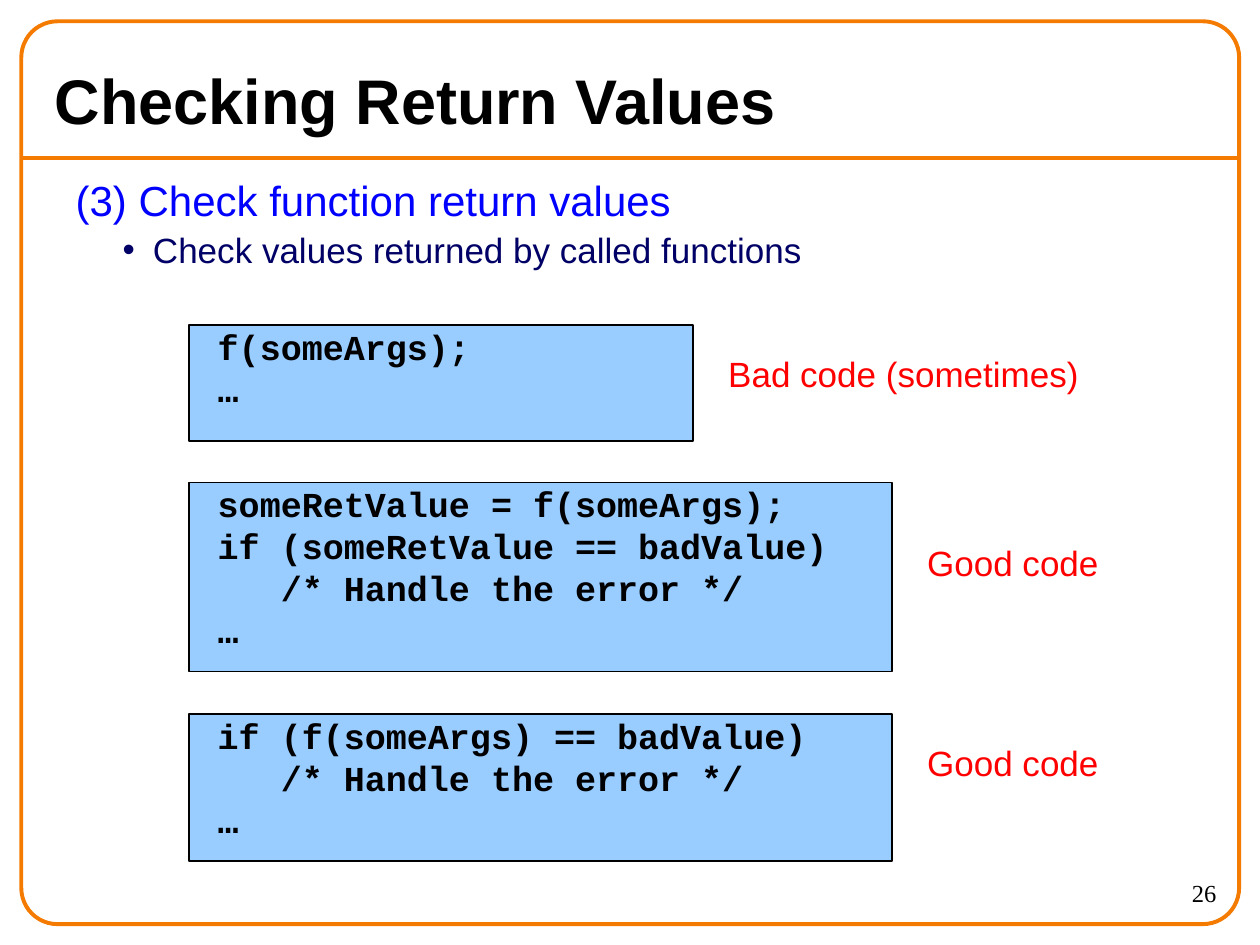
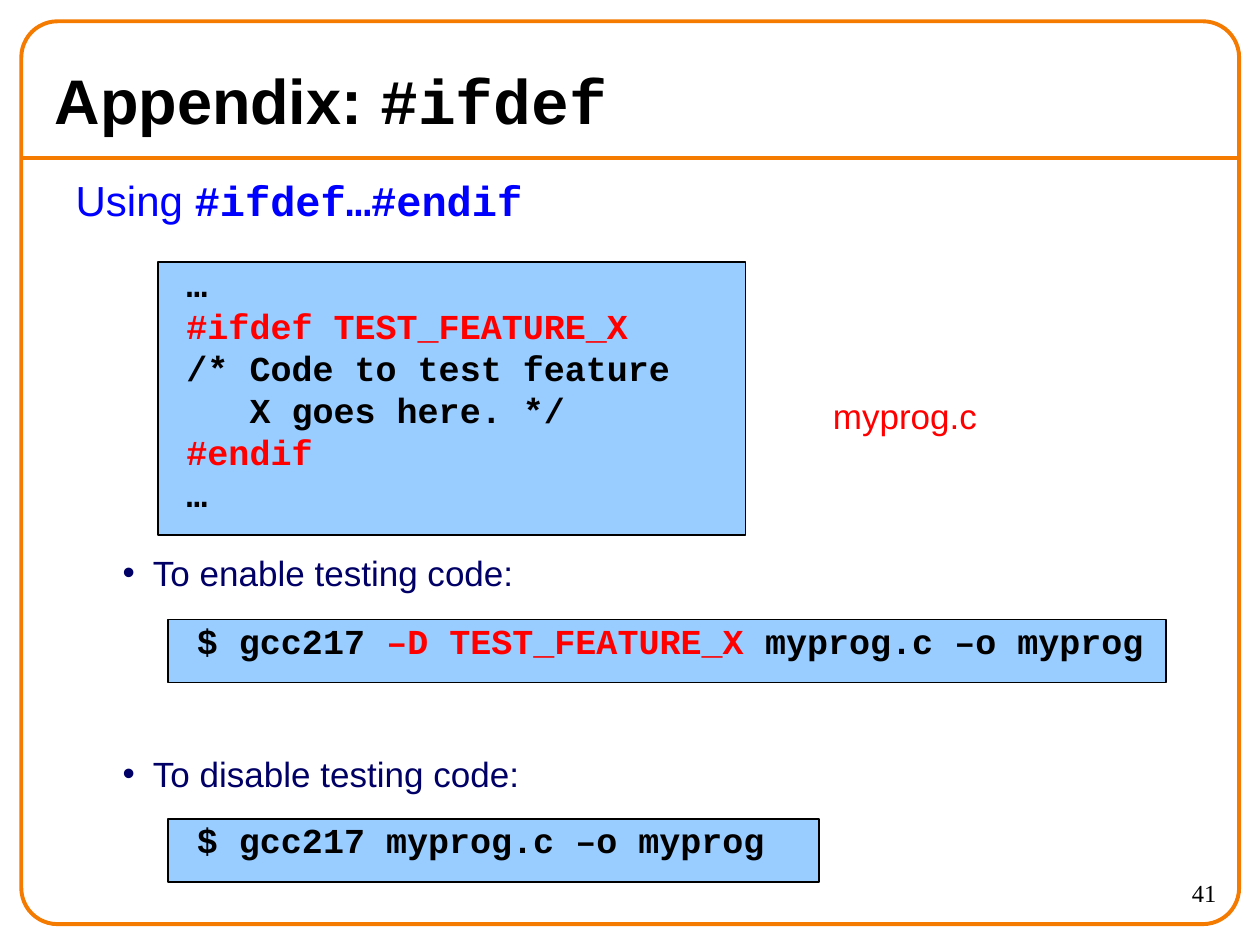
from lxml.etree import SubElement
from pptx import Presentation
from pptx.dml.color import RGBColor
from pptx.enum.shapes import MSO_CONNECTOR, MSO_SHAPE
from pptx.enum.text import MSO_ANCHOR, MSO_AUTO_SIZE, PP_ALIGN
from pptx.oxml.ns import qn
from pptx.util import Cm, Pt

COLORS = {
    "frame": "F47A00", "black": "000000", "heading": "0000FF",
    "bullet": "000066", "code_fill": "99CCFF", "red": "FF0000",
}
SANS, MONO, SERIF = "Arial", "Courier New", "Times New Roman"


def add_span(para, text, size, color, font=SANS, bold=False):
    span = para.add_run()
    span.text = text
    span.font.size = Pt(size)
    span.font.name = font
    span.font.bold = bold
    span.font.color.rgb = RGBColor.from_string(COLORS[color])


def set_indent(para, left, first):
    properties = para._p.get_or_add_pPr()
    properties.set("marL", str(Cm(left)))
    properties.set("indent", str(Cm(first)))
    return properties


SLIDES = [
    {
        "number": "26",
        "title": [("Checking Return Values", SANS)],
        "heading": [("(3) Check function return values", SANS)],
        "bullets": [("Check values returned by called functions", 2)],
        "code": [
            (3.81, 9.73, 14.18, 3.81, [
                [("someRetValue = f(someArgs);", "black")],
                [("if (someRetValue == badValue)", "black")],
                [("   /* Handle the error */", "black")],
                [("…", "black")],
            ]),
            (3.81, 6.56, 10.16, 2.33, [
                [("f(someArgs);", "black")],
                [("…", "black")],
            ]),
            (3.81, 14.4, 14.18, 2.96, [
                [("if (f(someArgs) == badValue)", "black")],
                [("   /* Handle the error */", "black")],
                [("…", "black")],
            ]),
        ],
        "labels": [
            (14.43, 6.99, 8, "Bad code (sometimes)"),
            (18.44, 10.8, 4.4, "Good code"),
            (18.44, 14.82, 4.4, "Good code"),
        ],
    },
    {
        "number": "41",
        "title": [("Appendix: ", SANS), ("#ifdef", MONO)],
        "heading": [("Using ", SANS), ("#ifdef…#endif", MONO)],
        "bullets": [("To enable testing code:", 186.5), ("To disable testing code:", 91)],
        "code": [
            (3.18, 5.29, 11.85, 5.5, [
                [("…", "black")],
                [("#ifdef TEST_FEATURE_X", "red")],
                [("/* Code to test feature", "black")],
                [("   X goes here. */", "black")],
                [("#endif", "red")],
                [("…", "black")],
            ]),
            (3.39, 12.49, 20.11, 1.27, [
                [("$ gcc217 ", "black"), ("–D TEST_FEATURE_X ", "red"),
                 ("myprog.c –o myprog", "black")],
            ]),
            (3.39, 16.51, 13.12, 1.27, [
                [("$ gcc217 myprog.c –o myprog", "black")],
            ]),
        ],
        "labels": [(16.54, 7.83, 3.9, "myprog.c")],
    },
]

deck = Presentation()
deck.slide_width, deck.slide_height = Cm(25.4), Cm(19.05)
layout = deck.slide_layouts[1]
pages = [deck.slides.add_slide(layout) for content in SLIDES]

rule = pages[0].shapes.add_connector(
    MSO_CONNECTOR.STRAIGHT, Cm(0.43), Cm(3.18), Cm(24.97), Cm(3.18))
SubElement(rule.element.spPr, qn("a:effectLst"))
frame = pages[0].shapes.add_shape(
    MSO_SHAPE.ROUNDED_RECTANGLE, Cm(0.43), Cm(0.43), Cm(24.55), Cm(18.2))
frame.adjustments[0] = 0.04
frame.shadow.inherit = False
frame.fill.background()
for part in (rule, frame):
    part.line.color.rgb = RGBColor.from_string(COLORS["frame"])
    part.line.width = Pt(2.25)
    layout.shapes.element.append(part.element)

for page, content in zip(pages, SLIDES):
    title = page.shapes.title
    title.left, title.top, title.width, title.height = Cm(0.85), Cm(1.06), Cm(23.7), Cm(1.9)
    title.text_frame.auto_size = MSO_AUTO_SIZE.NONE
    title.text_frame.vertical_anchor = MSO_ANCHOR.MIDDLE
    para = title.text_frame.paragraphs[0]
    para.alignment = PP_ALIGN.LEFT
    for text, font in content["title"]:
        add_span(para, text, 36, "black", font, True)

    body = page.placeholders[1]
    body.left, body.top, body.width, body.height = Cm(1.27), Cm(3.39), Cm(23.5), Cm(15.24)
    body.text_frame.auto_size = MSO_AUTO_SIZE.NONE
    para = body.text_frame.paragraphs[0]
    para.space_before = Pt(0)
    SubElement(set_indent(para, 0.6, -0.6), qn("a:buNone"))
    for text, font in content["heading"]:
        add_span(para, text, 24, "heading", font, font == MONO)
    for text, gap in content["bullets"]:
        para = body.text_frame.add_paragraph()
        para.level = 1
        para.space_before = Pt(gap)
        properties = set_indent(para, 1.56, -0.61)
        bullet_color = SubElement(properties, qn("a:buClr"))
        SubElement(bullet_color, qn("a:srgbClr")).set("val", COLORS["bullet"])
        SubElement(properties, qn("a:buFont")).set("typeface", SANS)
        SubElement(properties, qn("a:buChar")).set("char", "•")
        add_span(para, text, 20, "bullet")

    for left, top, width, height, lines in content["code"]:
        box = page.shapes.add_shape(
            MSO_SHAPE.RECTANGLE, Cm(left), Cm(top), Cm(width), Cm(height))
        box.shadow.inherit = False
        box.fill.solid()
        box.fill.fore_color.rgb = RGBColor.from_string(COLORS["code_fill"])
        box.line.color.rgb = RGBColor.from_string(COLORS["black"])
        box.line.width = Pt(1)
        text_frame = box.text_frame
        text_frame.word_wrap = False
        text_frame.vertical_anchor = MSO_ANCHOR.TOP
        text_frame.margin_top = Cm(0)
        for index, line in enumerate(lines):
            para = text_frame.add_paragraph() if index else text_frame.paragraphs[0]
            para.alignment = PP_ALIGN.LEFT
            para.line_spacing = Pt(24)
            set_indent(para, 0.33, 0)
            for text, color in line:
                add_span(para, text, 20, color, MONO, True)

    for left, top, width, text in content["labels"]:
        label = page.shapes.add_textbox(Cm(left), Cm(top), Cm(width), Cm(1.12))
        label.text_frame.word_wrap = True
        label.text_frame.auto_size = MSO_AUTO_SIZE.NONE
        add_span(label.text_frame.paragraphs[0], text, 20, "red")

    number = page.shapes.add_textbox(Cm(22.23), Cm(17.57), Cm(2.54), Cm(1.06))
    number.text_frame.word_wrap = True
    para = number.text_frame.paragraphs[0]
    para.alignment = PP_ALIGN.RIGHT
    add_span(para, content["number"], 14, "black", SERIF)

deck.save("out.pptx")
